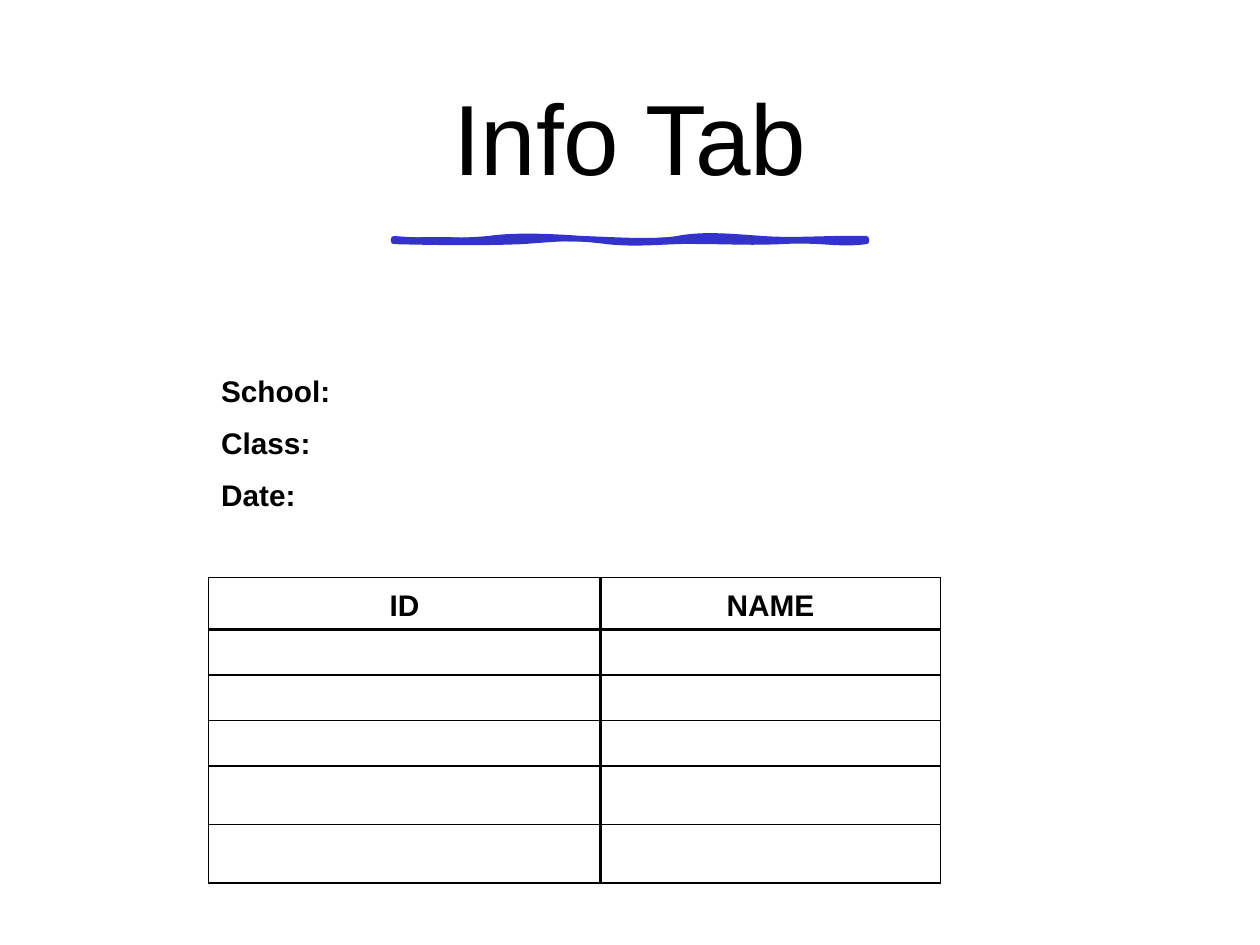
from dataclasses import dataclass

from lxml import etree
from pptx import Presentation
from pptx import util as u
from pptx.dml.color import RGBColor
from pptx.enum import text
from pptx.oxml import ns

BLACK = RGBColor(0x00, 0x00, 0x00)
BLUE = RGBColor(0x33, 0x33, 0xCC)
FONT = "Arial"
PLAIN_TABLE_STYLE = "{2D5ABB26-0587-4C30-8999-92F81FD0307C}"

Point = tuple[float, float]
Curve = tuple[Point, Point, Point]


@dataclass
class Wave:
    """Closed outline of cubic curves that starts and ends at (0, 0)."""
    curves: list[Curve]
    settings: dict[str, str]


@dataclass
class Border:
    side: str
    width: float


WAVE_LEFT, WAVE_TOP, WAVE_WIDTH, WAVE_HEIGHT = 225, 136.5, 270, 1.4
WAVES = [
    Wave([
        ((17.3, 1.4), (38.9, 1.4), (54, 0)),
        ((69.1, -2.2), (88.6, -1.4), (108, 0)),
        ((128.2, 0.7), (148.3, 2.2), (162, 0)),
        ((176.4, -2.9), (191.5, -1.4), (211, 0)),
        ((229.7, 1.4), (252.7, -0.7), (270, 0)),
        ((270, 0), (270, 0.7), (270, 1.4)),
        ((254.2, 3.6), (243.4, 0), (221.8, 1.4)),
        ((200.2, 2.2), (195.8, 1.4), (175.7, 1.4)),
        ((155.5, 0.7), (142.6, 3.6), (121.7, 1.4)),
        ((100.8, -1.4), (93.6, 0), (73.4, 1.4)),
        ((53.3, 2.2), (32.4, 2.2), (0, 1.4)),
        ((0, 0.7), (0, 0), (0, 0)),
    ], {"fill": "none"}),
    Wave([
        ((13.7, -1.4), (35.3, -1.4), (49, 0)),
        ((62.6, 0.7), (85, 0), (95, 0)),
        ((105.1, -0.7), (120.2, 1.4), (143.3, 0)),
        ((166.3, -2.2), (175, 1.4), (197.3, 0)),
        ((219.6, -2.2), (238.3, 2.9), (270, 0)),
        ((270, 0), (270, 0.7), (270, 1.4)),
        ((244.8, 0), (227.5, 1.4), (216, 1.4)),
        ((204.5, 0.7), (186.5, 0.7), (157, 1.4)),
        ((127.4, 1.4), (124.6, 0), (110.9, 1.4)),
        ((97.2, 2.2), (69.8, -1.4), (51.8, 1.4)),
        ((33.1, 3.6), (10.8, -1.4), (0, 1.4)),
        ((0, 0.7), (0, 0), (0, 0)),
    ], {"stroke": "0"}),
]

COLUMN_WIDTHS = [224, 194.4, 63.3]
ROW_HEIGHTS = [29.7] * 3 + [33.4, 29.7] + [26] * 3 + [33.4] * 2
LABELS = ["School:", "Class:", "Date:"]
HEADERS = ["ID", "NAME"]
HEADER_ROW = 4


def add_step(outline, tag: str, points) -> None:
    step = etree.SubElement(outline, ns.qn(tag))
    for x, y in points:
        etree.SubElement(step, ns.qn("a:pt"), x=str(u.Pt(x)), y=str(u.Pt(y)))


def draw_underline(page) -> None:
    right, bottom = WAVE_LEFT + WAVE_WIDTH, WAVE_TOP + WAVE_HEIGHT
    builder = page.shapes.build_freeform(u.Pt(WAVE_LEFT), u.Pt(WAVE_TOP))
    builder.add_line_segments([(u.Pt(right), u.Pt(WAVE_TOP)),
                               (u.Pt(right), u.Pt(bottom)),
                               (u.Pt(WAVE_LEFT), u.Pt(bottom))], close=True)
    shape = builder.convert_to_shape()
    shape.shadow.inherit = False
    shape.fill.solid()
    shape.fill.fore_color.rgb = BLUE
    shape.line.color.rgb = BLUE
    shape.line.width = u.Pt(3.25)

    # Swap the straight frame for the two curved outlines
    outlines = shape._element.find(".//" + ns.qn("a:pathLst"))
    outlines.remove(outlines[0])
    for wave in WAVES:
        outline = etree.SubElement(
            outlines, ns.qn("a:path"), w=str(u.Pt(WAVE_WIDTH)),
            h=str(u.Pt(WAVE_HEIGHT)), **wave.settings)
        add_step(outline, "a:moveTo", [(0, 0)])
        for curve in wave.curves:
            add_step(outline, "a:cubicBezTo", curve)
        add_step(outline, "a:close", [])


def style_runs(para, size: float, bold: bool = False) -> None:
    for span in para.runs:
        span.font.name = FONT
        span.font.size = u.Pt(size)
        span.font.bold = bold
        span.font.color.rgb = BLACK


def write_cell(cell, wording: str, align) -> None:
    cell.text_frame.text = wording
    cell.vertical_anchor = text.MSO_ANCHOR.BOTTOM
    cell.margin_top = cell.margin_bottom = u.Pt(3.6)
    para = cell.text_frame.paragraphs[0]
    para.alignment = align
    style_runs(para, 17, bold=True)


def add_borders(cell, borders: list[Border]) -> None:
    properties = cell._tc.get_or_add_tcPr()
    for border in borders:
        line = etree.SubElement(properties, ns.qn(f"a:ln{border.side}"),
                                w=str(u.Pt(border.width)))
        fill = etree.SubElement(line, ns.qn("a:solidFill"))
        etree.SubElement(fill, ns.qn("a:srgbClr"), val=str(BLACK))


def grid_borders(row: int, column: int) -> list[Border]:
    """Thick lines divide the two columns and underline the header."""
    if row < HEADER_ROW - 1:
        return []
    if row == HEADER_ROW - 1:
        return [Border("B", 1)] if column < 2 else []
    if column == 2:
        return [Border("L", 1)]
    return [Border("L", 1 + column), Border("R", 2 - column),
            Border("T", 2 if row == HEADER_ROW + 1 else 1),
            Border("B", 2 if row == HEADER_ROW else 1)]


def draw_title(page) -> None:
    box = page.shapes.add_textbox(u.Pt(37.6), u.Pt(32.7), u.Pt(644.4), u.Pt(98.6))
    frame = box.text_frame
    frame.word_wrap = True
    frame.vertical_anchor = text.MSO_ANCHOR.MIDDLE
    frame.text = "Info Tab"
    para = frame.paragraphs[0]
    para.alignment = text.PP_ALIGN.CENTER
    para.line_spacing = 0.9
    para.space_after = u.Pt(6)
    style_runs(para, 57)


def draw_table(page) -> None:
    holder = page.shapes.add_table(
        len(ROW_HEIGHTS), len(COLUMN_WIDTHS), u.Pt(119.1), u.Pt(207.6),
        u.Pt(sum(COLUMN_WIDTHS)), u.Pt(sum(ROW_HEIGHTS)))
    holder._element.find(".//" + ns.qn("a:tableStyleId")).text = PLAIN_TABLE_STYLE
    table = holder.table
    table.first_row = table.horz_banding = False
    for column, width in zip(table.columns, COLUMN_WIDTHS):
        column.width = u.Pt(width)
    for row, height in zip(table.rows, ROW_HEIGHTS):
        row.height = u.Pt(height)

    for r in range(len(ROW_HEIGHTS)):
        for c in range(len(COLUMN_WIDTHS)):
            cell = table.cell(r, c)
            cell.margin_top = cell.margin_bottom = u.Pt(0)
            add_borders(cell, grid_borders(r, c))
            cell.fill.background()

    for r, label in enumerate(LABELS):
        write_cell(table.cell(r, 0), label, text.PP_ALIGN.LEFT)
        table.cell(r, 1).merge(table.cell(r, 2))
    for c, header in enumerate(HEADERS):
        write_cell(table.cell(HEADER_ROW, c), header, text.PP_ALIGN.CENTER)


def main() -> None:
    deck = Presentation()
    deck.slide_width, deck.slide_height = u.Pt(720), u.Pt(540)
    page = deck.slides.add_slide(deck.slide_layouts[6])
    # Title with its wavy underline
    draw_title(page)
    draw_underline(page)
    # Class details and the list of names
    draw_table(page)
    deck.save("out.pptx")


if __name__ == "__main__":
    main()
